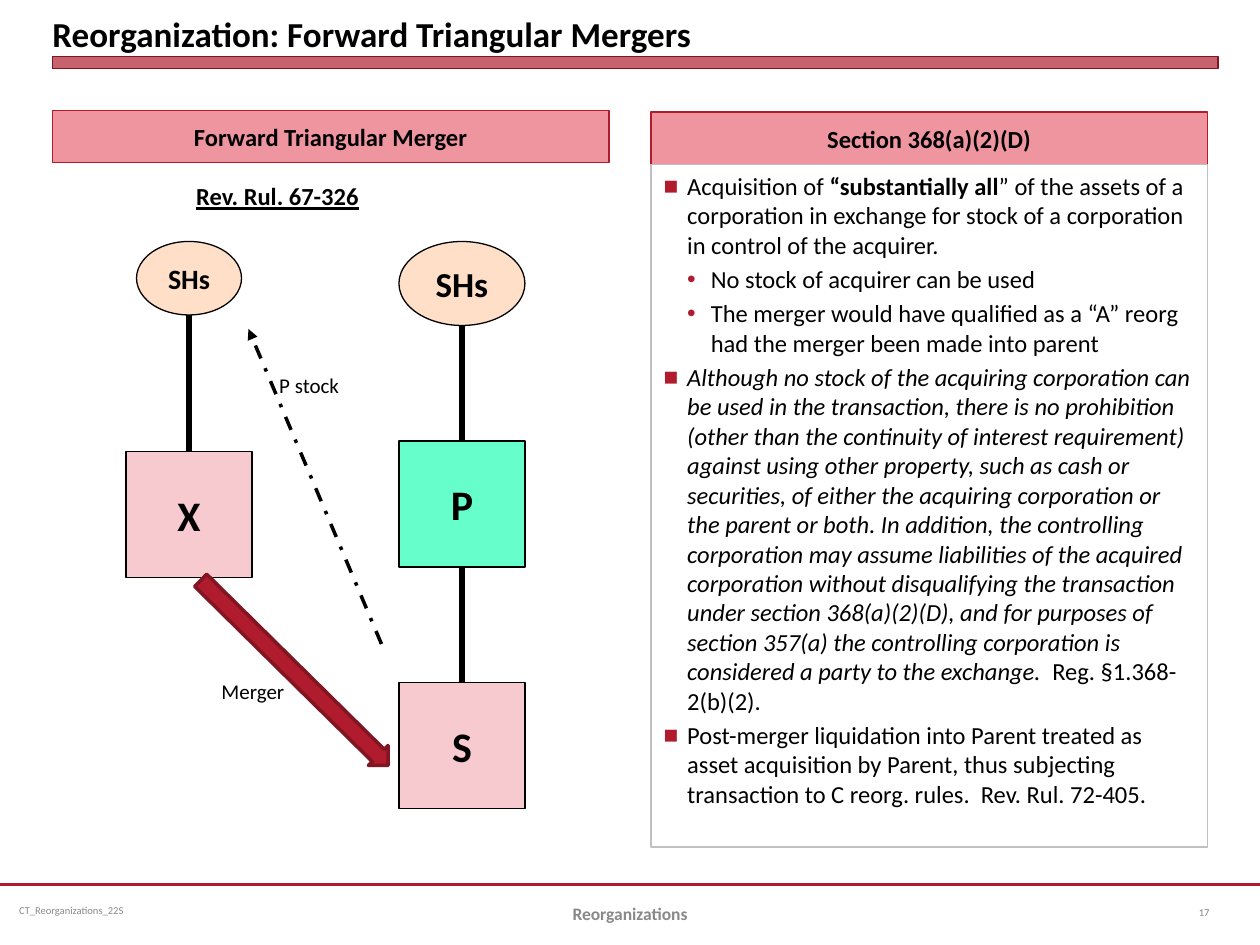
from dataclasses import dataclass

from lxml import etree
from pptx import Presentation
from pptx.dml.color import RGBColor
from pptx.enum.dml import MSO_LINE
from pptx.enum.shapes import MSO_CONNECTOR, MSO_SHAPE
from pptx.enum.text import MSO_ANCHOR, MSO_AUTO_SIZE, PP_ALIGN
from pptx.oxml.ns import qn
from pptx.util import Pt

RECTANGLE, ELLIPSE, ARROW = MSO_SHAPE.RECTANGLE, MSO_SHAPE.OVAL, MSO_SHAPE.RIGHT_ARROW
STRAIGHT = MSO_CONNECTOR.STRAIGHT
DASH_DOT = MSO_LINE.DASH_DOT
TOP, MIDDLE, BOTTOM = MSO_ANCHOR.TOP, MSO_ANCHOR.MIDDLE, MSO_ANCHOR.BOTTOM
LEFT, CENTER = PP_ALIGN.LEFT, PP_ALIGN.CENTER
NO_AUTOFIT = MSO_AUTO_SIZE.NONE
SIDE_TOP, SIDE_BOTTOM = 0, 2
COMPARISON_LAYOUT = 4


@dataclass(frozen=True)
class Theme:
    font: str = "Calibri"
    black: str = "000000"
    white: str = "FFFFFF"
    red: str = "B01C2E"
    dark_red: str = "821522"
    header: str = "EE95A0"
    border: str = "C0C0C0"
    peach: str = "FFDFC8"
    mint: str = "66FFCC"
    pink: str = "F7CAD0"
    gray: str = "898989"
    page_gray: str = "808080"
    entity_size: float = 24
    title_size: float = 20
    owner_size: float = 16
    body_size: float = 14
    label_size: float = 12
    footer_size: float = 10
    small_size: float = 6


THEME = Theme()

BULLETS = [
    (0, [("Acquisition of ", {}), ("“substantially all", {"bold": True}),
         ("” of the assets of a corporation in exchange for stock of a "
          "corporation in control of the acquirer.", {})]),
    (1, [("No stock of acquirer can be used", {})]),
    (1, [("The merger would have qualified as a “A” reorg had the merger "
          "been made into parent", {})]),
    (0, [("Although no stock of the acquiring corporation can be used in the "
          "transaction, there is no prohibition (other than the continuity of "
          "interest requirement) against using other property, such as cash or "
          "securities, of either the acquiring corporation or the parent or both. "
          "In addition, the controlling corporation may assume liabilities of the "
          "acquired corporation without disqualifying the transaction under section "
          "368(a)(2)(D), and for purposes of section 357(a) the controlling "
          "corporation is considered a party to the exchange.  ", {"italic": True}),
         ("Reg. §1.368-2(b)(2).", {})]),
    (0, [("Post-merger liquidation into Parent treated as asset acquisition by "
          "Parent, thus subjecting transaction to C reorg. rules.  "
          "Rev. Rul. 72-405.", {})]),
]


def add_run(paragraph, text, size=THEME.body_size, color=THEME.black,
            bold=False, italic=False, underline=False):
    run = paragraph.add_run()
    run.text = text
    font = run.font
    font.name, font.size = THEME.font, Pt(size)
    font.bold, font.italic, font.underline = bold, italic, underline
    font.color.rgb = RGBColor.from_string(color)


def write_text(shape, text, align=LEFT, anchor=MIDDLE, wrap=True, inset=None,
               space_before=0, **run_format):
    frame = shape.text_frame
    frame.auto_size = NO_AUTOFIT
    frame.word_wrap = wrap
    frame.vertical_anchor = anchor
    if inset is not None:
        frame.margin_left = frame.margin_right = Pt(inset[0])
        frame.margin_top = frame.margin_bottom = Pt(inset[1])
    paragraph = frame.paragraphs[0]
    paragraph.alignment = align
    paragraph.line_spacing = 1.0
    paragraph.space_before = Pt(space_before)
    add_run(paragraph, text, **run_format)


def paint(shape, fill, line, line_width):
    shape.fill.solid()
    shape.fill.fore_color.rgb = RGBColor.from_string(fill)
    shape.line.color.rgb = RGBColor.from_string(line)
    shape.line.width = Pt(line_width)


def place(shape, left, top, width, height):
    shape.left, shape.top = Pt(left), Pt(top)
    shape.width, shape.height = Pt(width), Pt(height)


def add_box(slide, kind, left, top, width, height, fill, line, line_width):
    shape = slide.shapes.add_shape(kind, Pt(left), Pt(top), Pt(width), Pt(height))
    shape.shadow.inherit = False
    paint(shape, fill, line, line_width)
    return shape


def add_entity(slide, text, left, top, fill):
    shape = add_box(slide, RECTANGLE, left, top, 72, 72, fill, THEME.black, 1)
    write_text(shape, text, align=CENTER, wrap=False, size=THEME.entity_size, bold=True)
    return shape


def add_owners(slide, entity, top, width, height, size):
    center = entity.left.pt + entity.width.pt / 2
    shape = add_box(slide, ELLIPSE, center - width / 2, top, width, height,
                    THEME.peach, THEME.black, 0.75)
    write_text(shape, "SHs", align=CENTER, wrap=False, size=size, bold=True)
    bottom = top + height
    link = add_line(slide, (center, bottom), (center, entity.top.pt), width=3)
    link.end_connect(entity, SIDE_TOP)


def add_line(slide, start, end, color=THEME.black, width=1.25, dash=None, arrow=False):
    points = [Pt(value) for value in (*start, *end)]
    connector = slide.shapes.add_connector(STRAIGHT, *points)
    connector.line.color.rgb = RGBColor.from_string(color)
    connector.line.width = Pt(width)
    if dash is not None:
        connector.line.dash_style = dash
    if arrow:
        etree.SubElement(connector.line._get_or_add_ln(), qn("a:tailEnd"), type="triangle")
    etree.SubElement(connector._element.spPr, qn("a:effectLst"))
    return connector


def add_label(slide, text, left, top, width, height, **text_format):
    box = slide.shapes.add_textbox(Pt(left), Pt(top), Pt(width), Pt(height))
    write_text(box, text, **text_format)


def add_header(placeholder, text, left, top):
    place(placeholder, left, top, 318, 30)
    paint(placeholder, THEME.header, THEME.red, 0.75)
    write_text(placeholder, text, align=CENTER, space_before=2.8, bold=True)


def set_bullet(paragraph, level):
    properties = paragraph._p.get_or_add_pPr()
    properties.set("marL", str(Pt(13.5 * (level + 1))))
    properties.set("indent", str(Pt(-13.5)))
    color = etree.SubElement(properties, qn("a:buClr"))
    etree.SubElement(color, qn("a:srgbClr"), val=THEME.red)
    etree.SubElement(properties, qn("a:buFont"), typeface="Arial")
    etree.SubElement(properties, qn("a:buChar"), char="■•"[level])


def fill_list(placeholder):
    place(placeholder, 372, 94, 318, 390)
    paint(placeholder, THEME.white, THEME.border, 0.75)
    frame = placeholder.text_frame
    frame.auto_size = NO_AUTOFIT
    frame.vertical_anchor = TOP
    for index, (level, runs) in enumerate(BULLETS):
        paragraph = frame.add_paragraph() if index else frame.paragraphs[0]
        paragraph.level = level
        paragraph.line_spacing = 1.0
        paragraph.space_before = Pt(2.8)
        set_bullet(paragraph, level)
        for text, run_format in runs:
            add_run(paragraph, text, **run_format)


def add_frame(slide):
    add_line(slide, (0, 505.5), (720, 505.5), color=THEME.red)
    bar = add_box(slide, RECTANGLE, 30, 32.3, 666, 7, THEME.red, THEME.dark_red, 0)
    bar_color = bar.fill._xPr.find(qn("a:solidFill"))[0]
    etree.SubElement(bar_color, qn("a:alpha"), val="69000")
    add_label(slide, "CT_Reorganizations_22S", 6, 505.5, 186, 29, inset=(5, 3),
              size=THEME.small_size, color=THEME.gray)
    add_label(slide, "Reorganizations", 246, 507.5, 228, 29, align=CENTER,
              size=THEME.footer_size, color=THEME.gray, bold=True)
    add_label(slide, "17", 678, 507, 36, 29, size=THEME.small_size, color=THEME.page_gray)


def add_diagram(slide):
    target = add_entity(slide, "X", 72, 258, THEME.pink)
    parent = add_entity(slide, "P", 228, 252, THEME.mint)
    subsidiary = add_entity(slide, "S", 228, 390, THEME.pink)
    add_owners(slide, target, 138, 60, 42, THEME.owner_size)
    add_owners(slide, parent, 138, 72, 48, THEME.title_size)
    ownership = add_line(slide, (264, 324), (264, 390), width=3)
    ownership.begin_connect(parent, SIDE_BOTTOM)
    ownership.end_connect(subsidiary, SIDE_TOP)
    add_line(slide, (218, 368), (142, 188), width=2, dash=DASH_DOT, arrow=True)
    merger = add_box(slide, ARROW, 93, 376.5, 150.5, 16, THEME.red, THEME.dark_red, 2)
    merger.rotation = 44.6
    merger.adjustments[0], merger.adjustments[1] = 0.61, 0.5
    label = {"anchor": TOP, "wrap": False}
    add_label(slide, "P stock", 152.5, 209.5, 50, 22, size=THEME.label_size, **label)
    add_label(slide, "Merger", 119.5, 384, 50, 22, size=THEME.label_size, **label)
    add_label(slide, "Rev. Rul. 67-326", 105, 100, 108, 24, bold=True, underline=True, **label)


def main():
    presentation = Presentation()
    presentation.slide_width, presentation.slide_height = Pt(720), Pt(540)
    slide = presentation.slides.add_slide(presentation.slide_layouts[COMPARISON_LAYOUT])
    title, left_header, left_body, right_header, right_body = slide.placeholders
    left_body._element.getparent().remove(left_body._element)
    place(title, 30, 0, 666, 31)
    write_text(title, "Reorganization: Forward Triangular Mergers", anchor=BOTTOM,
               inset=(0, 0), size=THEME.title_size, bold=True)
    add_header(left_header, "Forward Triangular Merger", 30, 63)
    add_header(right_header, "Section 368(a)(2)(D)", 372, 64)
    fill_list(right_body)
    add_frame(slide)
    add_diagram(slide)
    presentation.save("out.pptx")


if __name__ == "__main__":
    main()
